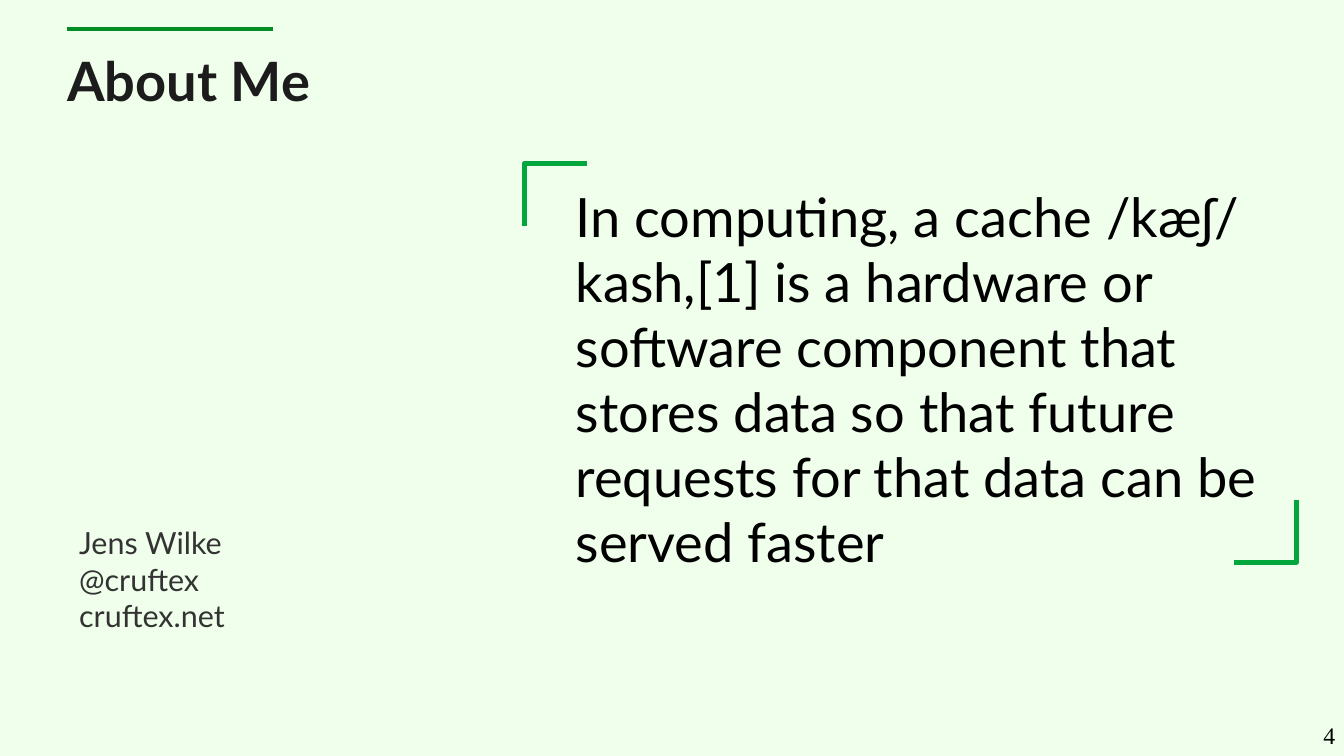
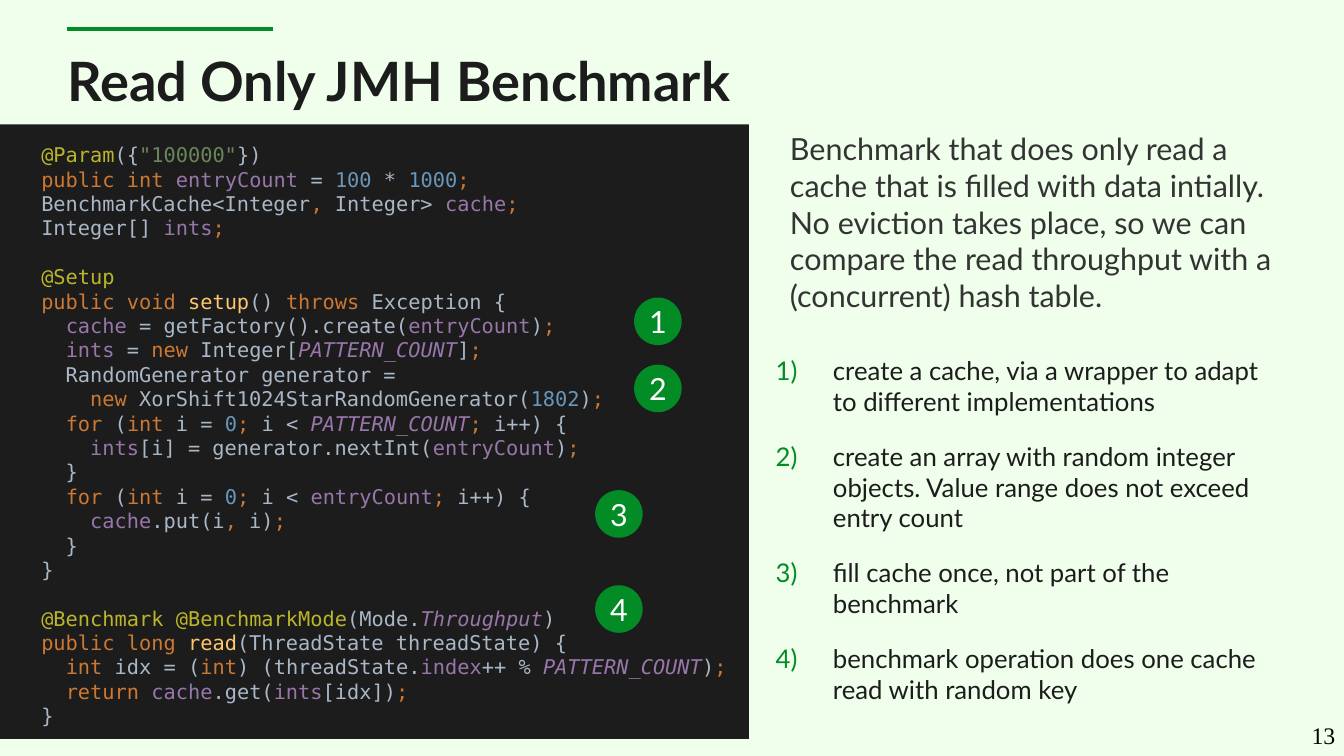
"""Build two slides of a talk about caches: the speaker and a read benchmark."""
from itertools import groupby

from lxml import etree
from pptx import Presentation
from pptx import util as u
from pptx.dml.color import RGBColor
from pptx.enum import shapes, text
from pptx.oxml.ns import qn

COLORS = {
    "background": "EFFFEB", "rule": "038C25", "bracket": "03A63C",
    "dark": "1C1C1C", "gray": "333333", "black": "000000", "white": "FFFFFF",
    "plain": "A9B7C6", "keyword": "CC7832", "field": "9876AA",
    "constant": "9876AA", "number": "6897BB", "string": "6A8759",
    "annotation": "BBB529", "method": "FFC66D",
}
WIDTH, HEIGHT = u.Inches(11.02), u.Inches(6.2)
GRID = 100
LEFT = 5
FONT = "Lato"
TITLE_ONLY, TITLE_AND_BODY = 5, 1

WORD_STYLES = {
    "keyword": "public int void throws new for long return".split(),
    "field": "entryCount cache ints index".split(),
    "constant": "PATTERN_COUNT Throughput".split(),
    "method": "setup read".split(),
}

BENCHMARK_CODE = """@Param({"100000"})
public int entryCount = 100 * 1000;
BenchmarkCache<Integer, Integer> cache;
Integer[] ints;

@Setup
public void setup() throws Exception {
  cache = getFactory().create(entryCount);
  ints = new Integer[PATTERN_COUNT];
  RandomGenerator generator =
    new XorShift1024StarRandomGenerator(1802);
  for (int i = 0; i < PATTERN_COUNT; i++) {
    ints[i] = generator.nextInt(entryCount);
  }
  for (int i = 0; i < entryCount; i++) {
    cache.put(i, i);
  }
}

@Benchmark @BenchmarkMode(Mode.Throughput)
public long read(ThreadState threadState) {
  int idx = (int) (threadState.index++ % PATTERN_COUNT);
  return cache.get(ints[idx]);
}"""

CONTACT = ["Jens Wilke", "@cruftex", "cruftex.net"]
DEFINITION = [
    "In computing, a cache /kæʃ/ kash,[1] is a hardware or software component "
    "that stores data so that future requests for that data can be served faster",
]
INTRO = [
    "Benchmark that does only read a cache that is filled with data intially.",
    "No eviction takes place, so we can compare the read throughput with a "
    "(concurrent) hash table.",
]
STEPS = [
    "create a cache, via a wrapper to adapt to different implementations",
    "create an array with random integer objects. Value range does not exceed "
    "entry count",
    "fill cache once, not part of the benchmark",
    "benchmark operation does one cache read with random key",
]
BADGE_CENTERS = [(48.95, 42.5), (48.95, 51.38), (46.05, 67.98), (46.05, 80.56)]


def color(name):
    return RGBColor.from_string(COLORS[name])


def col(count):
    return round(WIDTH * count / GRID)


def row(count):
    return round(HEIGHT * count / GRID)


def area(left, top, width, height):
    return col(left), row(top), col(width), row(height)


def set_font(font, size, tone, name=FONT, bold=False):
    font.name, font.size, font.bold = name, u.Pt(size), bold
    font.color.rgb = color(tone)


def prepare_frame(frame, inset=True, anchor=text.MSO_ANCHOR.TOP):
    frame.word_wrap = True
    frame.auto_size = text.MSO_AUTO_SIZE.NONE
    frame.vertical_anchor = anchor
    frame.margin_left = frame.margin_right = u.Inches(0.1 if inset else 0)
    frame.margin_top = frame.margin_bottom = u.Inches(0.05 if inset else 0)


def write(frame, lines, size, tone, align=text.PP_ALIGN.LEFT, **font):
    frame.text = "\n".join(lines)
    for paragraph in frame.paragraphs:
        paragraph.alignment = align
        set_font(paragraph.font, size, tone, **font)


def add_label(slide, box, lines, size, tone, inset=True,
              anchor=text.MSO_ANCHOR.TOP, **style):
    frame = slide.shapes.add_textbox(*area(*box)).text_frame
    prepare_frame(frame, inset, anchor)
    write(frame, lines, size, tone, **style)


def place(placeholder, box):
    placeholder.left, placeholder.top, placeholder.width, placeholder.height = area(*box)
    prepare_frame(placeholder.text_frame, inset=False)
    return placeholder.text_frame


def add_slide(deck, layout, title, number):
    slide = deck.slides.add_slide(deck.slide_layouts[layout])
    rule = slide.shapes.add_connector(
        shapes.MSO_CONNECTOR.STRAIGHT, col(LEFT), row(3.87), col(20.33), row(3.87))
    rule.line.color.rgb = color("rule")
    rule.line.width = u.Pt(2.25)
    etree.SubElement(rule._element.spPr, qn("a:effectLst"))
    write(place(slide.shapes.title, (LEFT, 6.29, 90, 14.35)), [title], 32, "dark", bold=True)
    add_label(slide, (76.04, 95.32, 23.32, 4.35), [str(number)], 14, "black",
              inset=False, align=text.PP_ALIGN.RIGHT, name="Times New Roman")
    return slide


def add_bracket(slide, corner_col, corner_row, direction):
    x, y = col(corner_col), row(corner_row)
    arm = u.Inches(0.51) * direction
    builder = slide.shapes.build_freeform(x, y + arm)
    builder.add_line_segments([(x, y), (x + arm, y)], close=False)
    bracket = builder.convert_to_shape()
    bracket.fill.background()
    bracket.line.color.rgb = color("bracket")
    bracket.line.width = u.Pt(3)
    bracket.shadow.inherit = False


def add_filled(slide, kind, left, top, width, height, tone):
    filled = slide.shapes.add_shape(kind, left, top, width, height)
    filled.fill.solid()
    filled.fill.fore_color.rgb = color(tone)
    filled.line.fill.background()
    filled.shadow.inherit = False
    return filled


def add_badge(slide, number, center_col, center_row):
    size = u.Inches(0.39)
    badge = add_filled(slide, shapes.MSO_SHAPE.OVAL, col(center_col) - size // 2,
                       row(center_row) - size // 2, size, size, "rule")
    prepare_frame(badge.text_frame, anchor=text.MSO_ANCHOR.MIDDLE)
    badge.text_frame.word_wrap = False
    write(badge.text_frame, [str(number)], 18, "white", align=text.PP_ALIGN.CENTER)


def char_kind(char):
    if char.isalnum() or char in '_@"':
        return "word"
    return "keyword" if char in ",;" else "plain"


def token_style(token):
    if char_kind(token[0]) != "word":
        return char_kind(token[0])
    if token[0] in '@"':
        return "annotation" if token[0] == "@" else "string"
    if token.isdigit():
        return "number"
    return next((style for style, words in WORD_STYLES.items() if token in words), "plain")


def add_code(slide, box, code):
    frame = slide.shapes.add_textbox(*area(*box)).text_frame
    prepare_frame(frame)
    for index, line in enumerate(code.split("\n")):
        paragraph = frame.add_paragraph() if index else frame.paragraphs[0]
        paragraph.line_spacing = u.Pt(14.4)
        set_font(paragraph.font, 12, "plain", name="DejaVu Sans Mono")
        tokens = ["".join(chars) for _, chars in groupby(line, char_kind)]
        for style, group in groupby(tokens, token_style):
            run = paragraph.add_run()
            run.text = "".join(group)
            run.font.color.rgb = color(style)
            run.font.italic = style == "constant"


def number_items(frame):
    for paragraph in frame.paragraphs:
        paragraph.space_before = u.Pt(14.1)
        props = paragraph._p.get_or_add_pPr()
        props.set("marL", str(u.Inches(0.47)))
        props.set("indent", str(-u.Inches(0.47)))
        bullet_color = etree.Element(qn("a:buClr"))
        etree.SubElement(bullet_color, qn("a:srgbClr"), val=COLORS["rule"])
        bullet_font = etree.Element(qn("a:buFont"), typeface=FONT)
        numbering = etree.Element(qn("a:buAutoNum"), type="arabicParenR")
        spacing = props.find(qn("a:spcBef"))
        for part in (numbering, bullet_font, bullet_color):
            spacing.addnext(part)


def build_about(deck):
    slide = add_slide(deck, TITLE_ONLY, "About Me", 4)
    add_label(slide, (LEFT, 68.55, 23.6, 16.13), CONTACT, 18, "gray")
    add_bracket(slide, 39.02, 21.61, 1)
    add_bracket(slide, 96.46, 74.35, -1)
    add_label(slide, (42.83, 24.19, 51.45, 51.77), DEFINITION, 32, "black",
              inset=False, anchor=text.MSO_ANCHOR.MIDDLE)


def build_benchmark(deck):
    slide = add_slide(deck, TITLE_AND_BODY, "Read Only JMH Benchmark", 13)
    add_filled(slide, shapes.MSO_SHAPE.RECTANGLE, *area(0, 16.45, 55.72, 81.29), "dark")
    add_code(slide, (2.18, 18.06, 55, 77.26), BENCHMARK_CODE)
    for number, center in enumerate(BADGE_CENTERS, 1):
        add_badge(slide, number, *center)
    steps = place(slide.placeholders[1], (57.71, 46.94, 37.84, 43.23))
    write(steps, STEPS, 15.2, "dark")
    number_items(steps)
    add_label(slide, (57.89, 16.45, 40.02, 25.81), INTRO, 18, "gray")


def main():
    deck = Presentation()
    deck.slide_width, deck.slide_height = WIDTH, HEIGHT
    backdrop = deck.slide_master.background.fill
    backdrop.solid()
    backdrop.fore_color.rgb = color("background")
    build_about(deck)
    build_benchmark(deck)
    deck.save("out.pptx")


if __name__ == "__main__":
    main()
